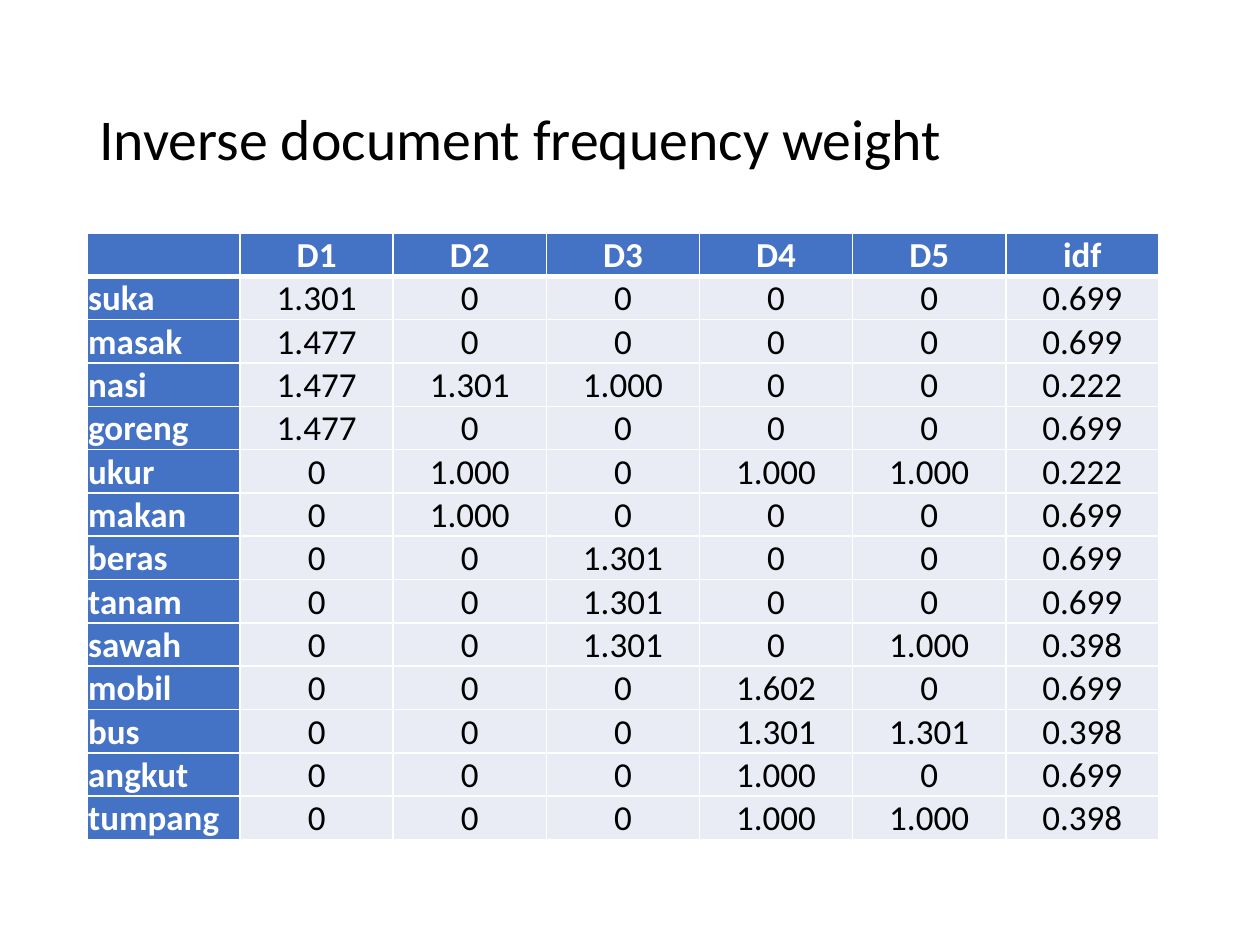
from pptx import Presentation
from pptx.dml.color import RGBColor
from pptx.enum.text import MSO_ANCHOR as ANCHOR, PP_ALIGN as ALIGN
from pptx.oxml import parse_xml
from pptx.oxml.ns import nsdecls
from pptx.util import Inches, Pt

BLACK = RGBColor(0x00, 0x00, 0x00)
WHITE = RGBColor(0xFF, 0xFF, 0xFF)
BLUE = RGBColor(0x44, 0x72, 0xC4)
PALE = RGBColor(0xE9, 0xEB, 0xF5)

HEADER = ["", "D1", "D2", "D3", "D4", "D5", "idf"]
WEIGHTS = [
    ["suka", "1.301", "0", "0", "0", "0", "0.699"],
    ["masak", "1.477", "0", "0", "0", "0", "0.699"],
    ["nasi", "1.477", "1.301", "1.000", "0", "0", "0.222"],
    ["goreng", "1.477", "0", "0", "0", "0", "0.699"],
    ["ukur", "0", "1.000", "0", "1.000", "1.000", "0.222"],
    ["makan", "0", "1.000", "0", "0", "0", "0.699"],
    ["beras", "0", "0", "1.301", "0", "0", "0.699"],
    ["tanam", "0", "0", "1.301", "0", "0", "0.699"],
    ["sawah", "0", "0", "1.301", "0", "1.000", "0.398"],
    ["mobil", "0", "0", "0", "1.602", "0", "0.699"],
    ["bus", "0", "0", "0", "1.301", "1.301", "0.398"],
    ["angkut", "0", "0", "0", "1.000", "0", "0.699"],
    ["tumpang", "0", "0", "0", "1.000", "1.000", "0.398"],
]


def set_attrs(obj, values):
    for name, value in values.items():
        setattr(obj, name, value)


class SlideBuilder:
    font = "Calibri"
    title_size = Pt(33)
    cell_size = Pt(20)
    cell_format = {
        "vertical_anchor": ANCHOR.BOTTOM,
        "margin_left": Inches(0.01),
        "margin_right": Inches(0.01),
        "margin_top": Inches(0.01),
        "margin_bottom": 0,
    }

    def __init__(self, slide):
        self.s = slide

    def run(self, p, text, size, color, bold=False):
        r = p.add_run()
        r.text = text
        set_attrs(r.font, {"name": self.font, "size": size, "bold": bold})
        r.font.color.rgb = color

    def title(self, text, left, top, width, height):
        tf = self.s.shapes.add_textbox(left, top, width, height).text_frame
        set_attrs(tf, {"word_wrap": True, "vertical_anchor": ANCHOR.MIDDLE})
        p = tf.paragraphs[0]
        p.line_spacing = 0.9
        self.run(p, text, self.title_size, BLACK)

    def borders(self, cell, **widths):
        """Draw white cell edges; widths maps L, R, T, B to points."""
        tc_pr = cell._tc.get_or_add_tcPr()
        for side, width in widths.items():
            tc_pr.append(parse_xml(
                f'<a:ln{side} {nsdecls("a")} w="{Pt(width)}"><a:solidFill>'
                f'<a:srgbClr val="{WHITE}"/></a:solidFill></a:ln{side}>'))

    def table(self, rows, left, top, width, height):
        """Add a table whose first row and first column are headings."""
        frame = self.s.shapes.add_table(
            len(rows), len(rows[0]), left, top, width, height)
        table = frame.table
        set_attrs(table, {"first_col": True, "horz_banding": False})
        for i, row in enumerate(rows):
            for j, text in enumerate(row):
                cell = table.cell(i, j)
                heading = i == 0 or j == 0
                set_attrs(cell, self.cell_format)
                self.borders(cell, L=1, R=1, T=3 if i == 1 else 1,
                             B=3 if i == 0 else 1)
                cell.fill.solid()
                cell.fill.fore_color.rgb = BLUE if heading else PALE
                p = cell.text_frame.paragraphs[0]
                p.alignment = ALIGN.CENTER if j else ALIGN.LEFT
                if text:
                    self.run(p, text, self.cell_size,
                             WHITE if heading else BLACK, heading)


def main():
    prs = Presentation()
    set_attrs(prs, {"slide_width": Inches(10), "slide_height": Inches(7.5)})
    builder = SlideBuilder(prs.slides.add_slide(prs.slide_layouts[6]))
    builder.title("Inverse document frequency weight",
                  Inches(0.69), Inches(0.4), Inches(8.62), Inches(1.45))
    builder.table([HEADER] + WEIGHTS,
                  Inches(0.69), Inches(1.85), Inches(8.51), Inches(4.81))
    prs.save("out.pptx")


if __name__ == "__main__":
    main()
